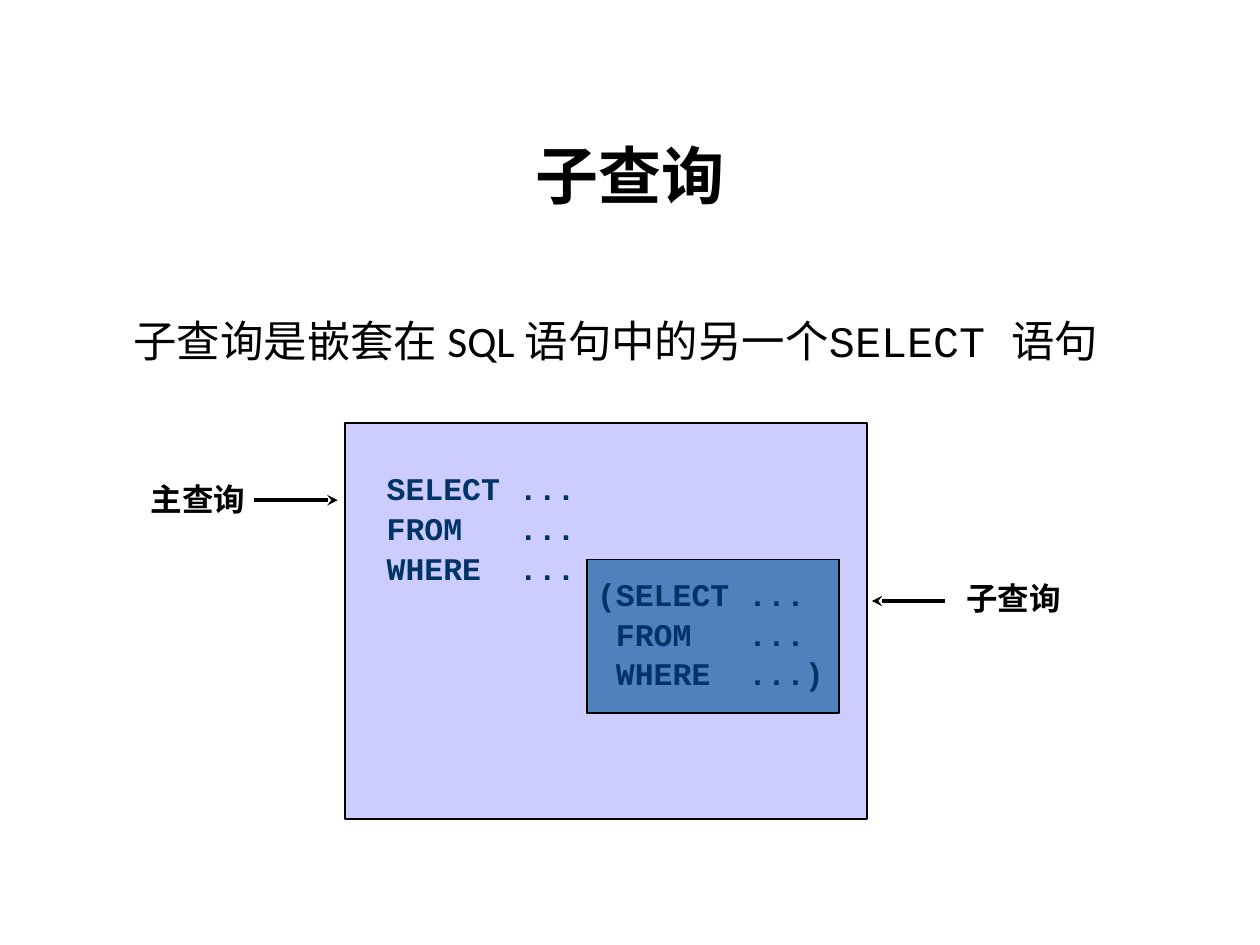
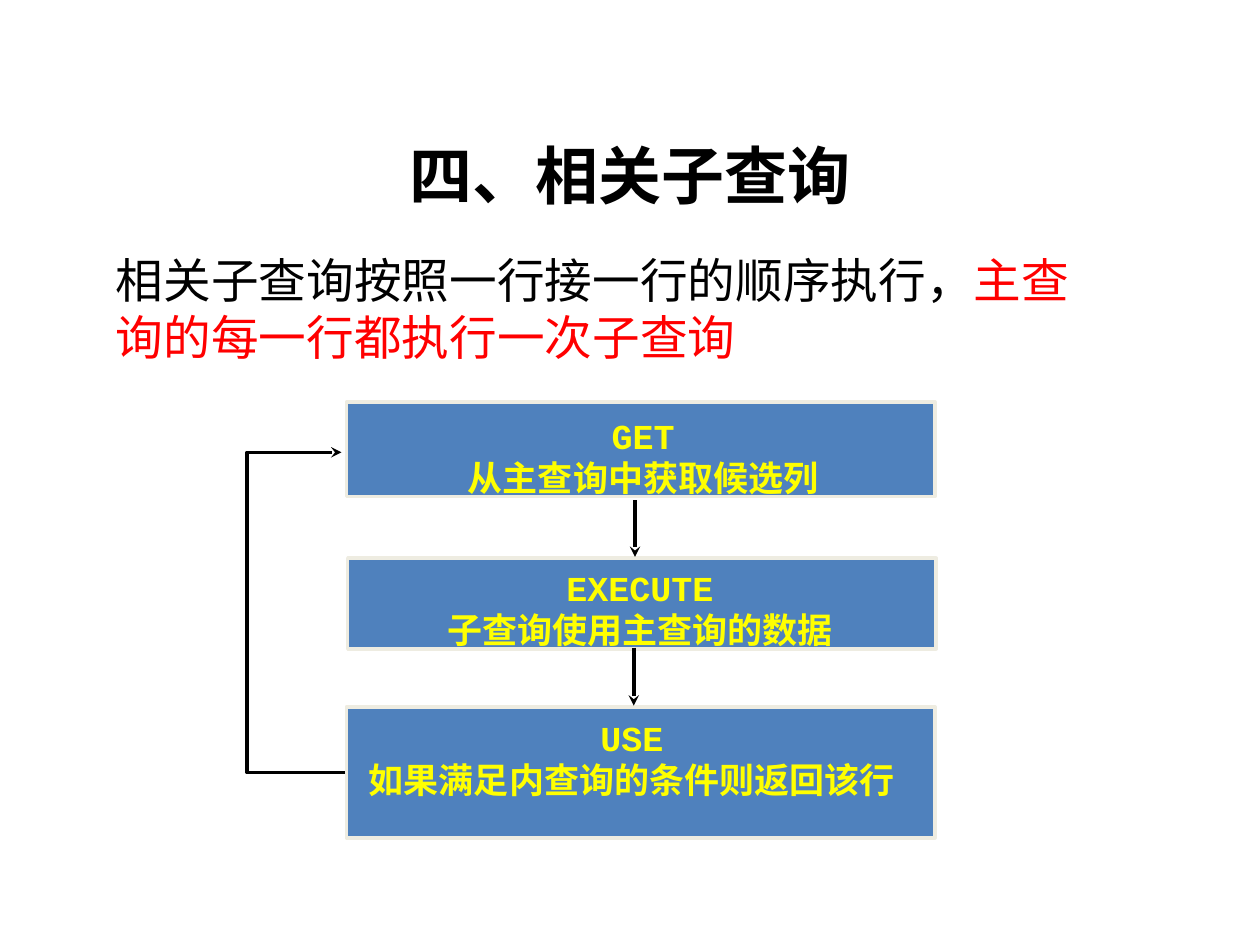
from typing import NamedTuple

from lxml import etree
from pptx import Presentation
from pptx import util as u
from pptx.dml.color import RGBColor
from pptx.enum import lang, shapes, text
from pptx.oxml import ns

PX = 9144  # 100 px to the inch

BLACK, WHITE, RED, YELLOW = "000000", "FFFFFF", "FF0000", "FFFF00"
NAVY, LAVENDER, BLUE, CREAM = "003366", "CCCCFF", "4F81BD", "EEECE1"
SANS, MONO, LABEL = "Calibri", "Courier New", "Arial"
LEFT, CENTER = text.PP_ALIGN.LEFT, text.PP_ALIGN.CENTER


class Area(NamedTuple):
    left: int
    top: int
    width: int
    height: int


class Span(NamedTuple):
    words: str
    font: str
    color: str = BLACK


class Style(NamedTuple):
    size: float
    bold: bool = True
    align: text.PP_ALIGN = LEFT
    anchor: text.MSO_ANCHOR = text.MSO_ANCHOR.TOP
    wrap: bool = True
    spacing: float = 1.0


class Step(NamedTuple):
    box: Area
    caption: Area
    keyword: str
    action: str


TITLE_AREA = Area(50, 76, 900, 125)
TITLE = Style(36, align=CENTER, anchor=text.MSO_ANCHOR.MIDDLE)
CODE = Style(18, wrap=False, spacing=1.05)
TAG = Style(18, wrap=False)
STEP = Style(20, align=CENTER)

STEPS = [
    Step(Area(275, 319, 467, 75), Area(278, 324, 465, 77),
         "GET", "从主查询中获取候选列"),
    Step(Area(276, 443, 467, 72), Area(311, 445, 394, 77),
         "EXECUTE", "子查询使用主查询的数据"),
    Step(Area(275, 561, 467, 104), Area(268, 564, 467, 77),
         "USE", "如果满足内查询的条件则返回该行"),
]


def rgb(value: str) -> RGBColor:
    return RGBColor.from_string(value)


def emu(lengths) -> list[u.Emu]:
    return [u.Emu(length * PX) for length in lengths]


def add_text(page, area: Area, style: Style, lines: list[list[Span]]) -> None:
    """Write each list of spans as one paragraph."""
    frame = page.shapes.add_textbox(*emu(area)).text_frame
    frame.word_wrap = style.wrap
    frame.vertical_anchor = style.anchor
    for index, spans in enumerate(lines):
        para = frame.add_paragraph() if index else frame.paragraphs[0]
        para.alignment = style.align
        para.line_spacing = style.spacing
        for span in spans:
            run = para.add_run()
            run.text = span.words
            run.font.name = span.font
            run.font.size = u.Pt(style.size)
            run.font.bold = style.bold
            run.font.color.rgb = rgb(span.color)
            run.font.language_id = lang.MSO_LANGUAGE_ID.SIMPLIFIED_CHINESE


def add_code(page, area: Area, lines: list[str]) -> None:
    add_text(page, area, CODE, [[Span(line, MONO, NAVY)] for line in lines])


def add_box(page, area: Area, fill: str, line: str, width: int) -> None:
    box = page.shapes.add_shape(shapes.MSO_SHAPE.RECTANGLE, *emu(area))
    box.shadow.inherit = False
    box.fill.solid()
    box.fill.fore_color.rgb = rgb(fill)
    box.line.color.rgb = rgb(line)
    box.line.width = u.Pt(width)


def style_arrow(line) -> None:
    """Give a line its stroke and a stealth head at its end."""
    line.color.rgb = rgb(BLACK)
    line.width = u.Pt(2)
    etree.SubElement(line._get_or_add_ln(), ns.qn("a:tailEnd"), type="stealth")


def add_arrow(page, start: tuple[int, int], end: tuple[int, int]) -> None:
    arrow = page.shapes.add_connector(
        shapes.MSO_CONNECTOR.STRAIGHT, *emu(start + end))
    style_arrow(arrow.line)
    etree.SubElement(arrow._element.spPr, ns.qn("a:effectLst"))


def add_loop(page, points: list[tuple[int, int]]) -> None:
    """Draw an open bent line that ends in an arrowhead."""
    builder = page.shapes.build_freeform(*points[0], scale=PX)
    builder.add_line_segments(points[1:], close=False)
    loop = builder.convert_to_shape()
    loop.shadow.inherit = False
    loop.fill.background()
    style_arrow(loop.line)


def add_page(deck, title: str, font: str):
    page = deck.slides.add_slide(deck.slide_layouts[6])
    page.background.fill.solid()
    page.background.fill.fore_color.rgb = rgb(WHITE)
    add_text(page, TITLE_AREA, TITLE, [[Span(title, font)]])
    return page


def build_subquery(deck) -> None:
    page = add_page(deck, "子查询", SANS)
    add_text(page, Area(96, 244, 808, 45), Style(24.8, bold=False), [[
        Span("子查询是嵌套在 SQL 语句中的另一个", SANS),
        Span("SELECT ", MONO),
        Span("语句", SANS),
    ]])
    add_box(page, Area(274, 336, 414, 314), LAVENDER, BLACK, 1)
    add_code(page, Area(297, 366, 185, 100),
             ["SELECT ...", "FROM   ...", "WHERE  ..."])
    add_box(page, Area(466, 444, 200, 122), BLUE, BLACK, 1)
    add_code(page, Area(464, 450, 200, 100),
             ["(SELECT ...", " FROM   ...", " WHERE  ...)"])
    add_text(page, Area(110, 376, 96, 40), TAG, [[Span("主查询", LABEL)]])
    add_text(page, Area(757, 455, 121, 50), TAG, [[Span("子查询", SANS)]])
    add_arrow(page, (202, 397), (268, 397))
    add_arrow(page, (750, 477), (692, 477))


def build_correlated(deck) -> None:
    page = add_page(deck, "四、相关子查询", MONO)
    add_loop(page, [(278, 613), (196, 613), (196, 359), (271, 359)])
    add_text(page, Area(82, 194, 808, 101), Style(27.2, bold=False), [[
        Span("相关子查询按照一行接一行的顺序执行，", MONO),
        Span("主查询的每一行都执行一次子查询", MONO, RED),
    ]])
    for step in STEPS:
        add_box(page, step.box, BLUE, CREAM, 2)
        add_text(page, step.caption, STEP, [
            [Span(words, MONO, YELLOW)] for words in (step.keyword, step.action)])
    add_arrow(page, (504, 397), (504, 442))
    add_arrow(page, (503, 514), (503, 560))


def main() -> None:
    deck = Presentation()
    deck.slide_width, deck.slide_height = emu((1000, 750))
    build_subquery(deck)
    build_correlated(deck)
    deck.save("out.pptx")


if __name__ == "__main__":
    main()
